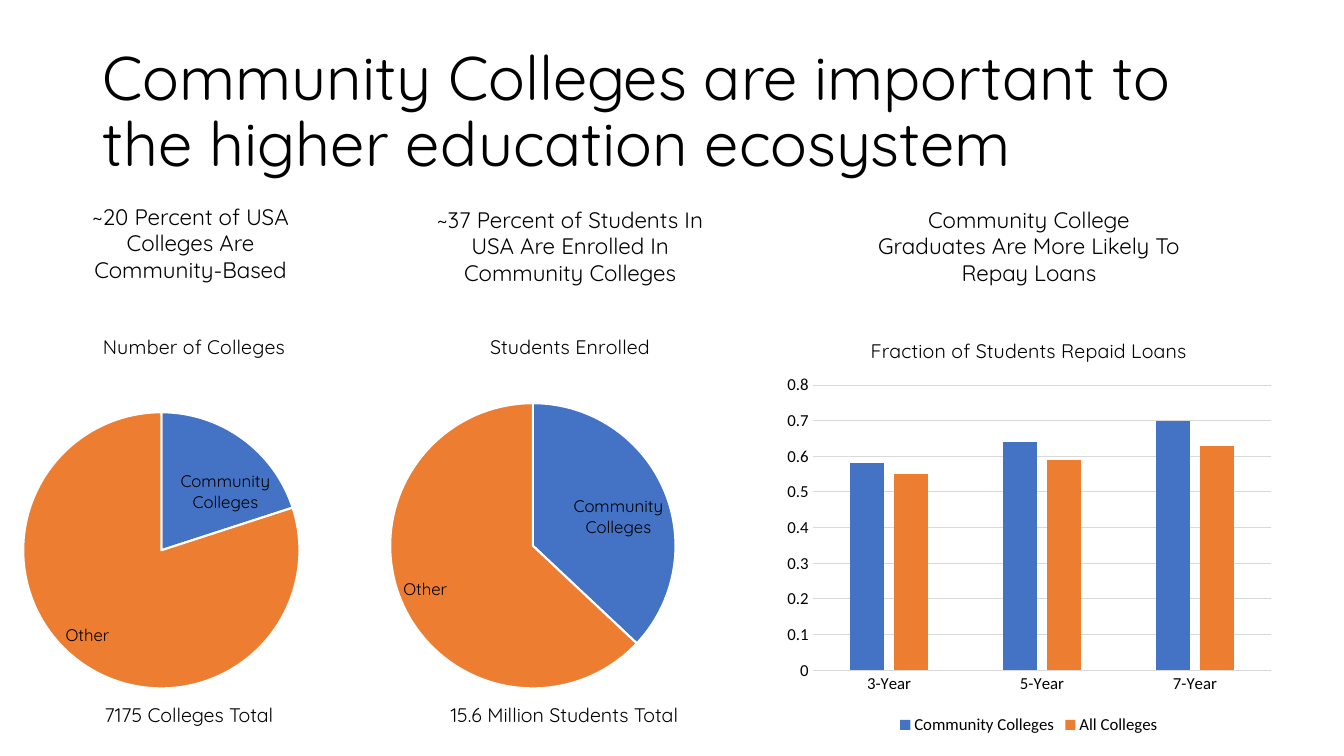
from pptx import Presentation
from pptx.chart.data import CategoryChartData as Data
from pptx.dml.color import RGBColor
from pptx.enum.chart import XL_CHART_TYPE as Kind, XL_LABEL_POSITION as Spot
from pptx.enum.chart import XL_LEGEND_POSITION as Side, XL_TICK_MARK as Tick
from pptx.enum.text import MSO_ANCHOR as Anchor, PP_ALIGN as Align
from pptx.oxml import parse_xml
from pptx.oxml.ns import nsdecls
from pptx.util import Inches, Pt

HEAD, BODY = "Quicksand", "Calibri"
BLACK, WHITE, GREY = "000000", "FFFFFF", "D9D9D9"
HUES = ["4472C4", "ED7D31"]


def color(code):
    """Turn a hex string into a colour."""
    return RGBColor.from_string(code)


def style(font, size, face=HEAD):
    """Set the size, face and black colour of a font."""
    font.size, font.name, font.bold = Pt(size), face, False
    font.color.rgb = color(BLACK)


def fill(form, code):
    """Fill a chart part with a plain colour."""
    form.fill.solid()
    form.fill.fore_color.rgb = color(code)


def label(slide, box, text, size, align=Align.CENTER, wrap=True, space=None):
    """Write one paragraph, centred upright in its box."""
    frame = slide.shapes.add_textbox(*map(Inches, box)).text_frame
    frame.word_wrap, frame.vertical_anchor = wrap, Anchor.MIDDLE
    para = frame.paragraphs[0]
    para.alignment, para.line_spacing = align, space
    run = para.add_run()
    run.text = text
    style(run.font, size)


def layout(modes, **parts):
    """Make a manual layout from fractions of the chart."""
    sizes = "".join(f'<c:{key} val="{val:.4f}"/>' for key, val in parts.items())
    return parse_xml(f'<c:layout {nsdecls("c")}><c:manualLayout>{modes}{sizes}'
                     '</c:manualLayout></c:layout>')


def place(chart, box, plot):
    """Fix the inner plot area of a chart at a place on the slide."""
    left, top, width, height = box
    x, y, w, h = plot
    modes = '<c:layoutTarget val="inner"/><c:xMode val="edge"/><c:yMode val="edge"/>'
    area = chart._chartSpace.chart.plotArea
    for old in area.findall("{*}layout"):
        area.remove(old)
    area.insert(0, layout(modes, x=(x - left) / width, y=(y - top) / height,
                          w=w / width, h=h / height))


def graph(slide, kind, box, plot, title, cats, rows):
    """Add a titled chart and return it."""
    data = Data()
    data.categories = cats
    for name, vals in rows:
        data.add_series(name, vals)
    chart = slide.shapes.add_chart(kind, *map(Inches, box), data).chart
    style(chart.font, 10, BODY)
    chart.has_title, chart.has_legend = True, False
    run = chart.chart_title.text_frame.paragraphs[0].add_run()
    run.text = title
    style(run.font, 14)
    chart.chart_title.include_in_layout = False
    place(chart, box, plot)
    return chart


def pie_part(slide, box, plot, title, share, moves):
    """Draw a pie of community colleges, its labels moved by inches."""
    chart = graph(slide, Kind.PIE, box, plot, title,
                  ["Community Colleges", "Other"], [(title, [share, 100 - share])])
    pie = chart.plots[0]
    pie.vary_by_categories = True
    row = pie.series[0]
    tags = row.data_labels
    tags.show_category_name, tags.show_value = True, False
    tags.show_percentage, tags.position = False, Spot.INSIDE_END
    style(tags.font, 12)
    for at, hue in enumerate(HUES):
        point = row.points[at]
        fill(point.format, hue)
        line = point.format.line
        line.color.rgb, line.width = color(WHITE), Pt(1.5)
        style(point.data_label.font, 12)
        point.data_label.position = Spot.INSIDE_END
    for tag, (x, y) in zip(tags._element.findall("{*}dLbl"), moves):
        tag.insert(1, layout("", x=x / box[2], y=y / box[3]))
        for name, val in [("showVal", "0"), ("showCatName", "1"),
                          ("showPercent", "0")]:
            tag.find("{*}" + name).set("val", val)


def bar_part(slide, box, plot):
    """Draw the columns of loan repayment by year."""
    chart = graph(slide, Kind.COLUMN_CLUSTERED, box, plot,
                  "Fraction of Students Repaid Loans",
                  ["3-Year", "5-Year", "7-Year"],
                  [("Community Colleges", [0.58, 0.64, 0.7]),
                   ("All Colleges", [0.55, 0.59, 0.63])])
    bars = chart.plots[0]
    bars.vary_by_categories, bars.gap_width, bars.overlap = False, 219, -27
    for row, hue in zip(bars.series, HUES):
        fill(row.format, hue)
    years, scale = chart.category_axis, chart.value_axis
    for axis in (years, scale):
        axis.major_tick_mark = axis.minor_tick_mark = Tick.NONE
        style(axis.tick_labels.font, 12, BODY)
    scale.minimum_scale, scale.maximum_scale, scale.major_unit = 0, 0.8, 0.1
    scale.tick_labels.number_format = "General"
    scale.tick_labels.number_format_is_linked = False
    scale.format.line.fill.background()
    for line in (years.format.line, scale.major_gridlines.format.line):
        line.color.rgb, line.width = color(GREY), Pt(0.75)
    chart.has_legend = True
    chart.legend.position, chart.legend.include_in_layout = Side.BOTTOM, False
    style(chart.legend.font, 12, BODY)


def main():
    """Build the slide and save it."""
    deck = Presentation()
    deck.slide_width, deck.slide_height = Inches(13.33), Inches(7.5)
    slide = deck.slides.add_slide(deck.slide_layouts[6])
    label(slide, (0.92, 0.4, 11.5, 1.45),
          "Community Colleges are important to the higher education ecosystem",
          44, Align.LEFT, space=0.9)
    pie_part(slide, (-0.91, 3.13, 5.67, 3.85), (0.23, 4.09, 2.74, 2.74),
             "Number of Colleges", 20, [(0.31, 0.27), (-0.18, -0.11)])
    pie_part(slide, (2.82, 3.13, 5.67, 3.85), (3.87, 4, 2.83, 2.83),
             "Students Enrolled", 37, [(0.05, 0.04), (-0.04, 0)])
    bar_part(slide, (7.7, 3.16, 5.01, 4.17), (8.06, 3.82, 4.55, 2.83))
    for left, top, width, text in [
            (0.54, 2.05, 2.7, "~20 Percent of USA Colleges Are Community-Based"),
            (4.03, 2.08, 3.25,
             "~37 Percent of Students In USA Are Enrolled In Community Colleges"),
            (8.58, 2.08, 3.25,
             "Community College Graduates Are More Likely To Repay Loans")]:
        label(slide, (left, top, width, 0.72), text, 16)
    for left, width, text in [(0.94, 1.97, "7175 Colleges Total"),
                              (4.37, 2.58, "15.6 Million Students Total")]:
        label(slide, (left, 6.92, width, 0.34), text, 14, Align.LEFT, False)
    deck.save("out.pptx")


if __name__ == "__main__":
    main()
